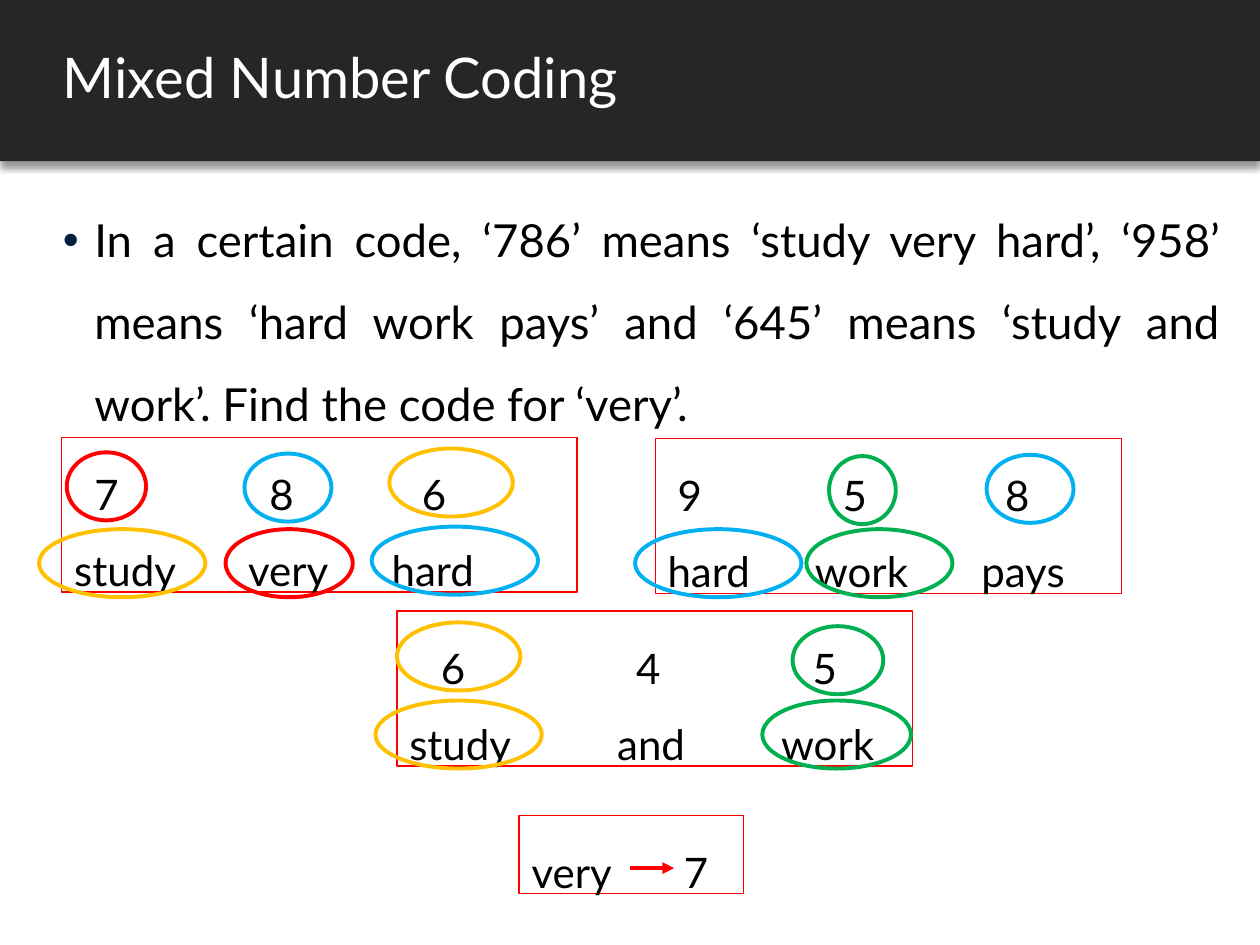
from lxml import etree
from pptx import Presentation
from pptx.dml.color import RGBColor
from pptx.enum.shapes import MSO_CONNECTOR, MSO_SHAPE
from pptx.enum.text import MSO_ANCHOR, MSO_AUTO_SIZE, PP_ALIGN
from pptx.oxml.ns import qn
from pptx.util import Inches, Pt

RECT, OVAL = MSO_SHAPE.RECTANGLE, MSO_SHAPE.OVAL
LINE = MSO_CONNECTOR.STRAIGHT
MIDDLE, GROW = MSO_ANCHOR.MIDDLE, MSO_AUTO_SIZE.SHAPE_TO_FIT_TEXT
LEFT, JUST = PP_ALIGN.LEFT, PP_ALIGN.JUSTIFY

# The grid has 100 columns and 75 rows of a tenth of an inch
COLS, ROWS, UNIT = 100, 75, 0.1
RING = 5.4
COLORS = {
    "dark": "262626", "white": "FFFFFF", "black": "000000", "navy": "00203F",
    "red": "FF0000", "blue": "00B0F0", "amber": "FFC000", "green": "00B050",
}
TITLE = {"size": 32, "color": "white", "align": LEFT, "line_spacing": 0.9,
         "space_after": Pt(6)}
BODY = {"size": 26, "color": "black", "align": JUST, "line_spacing": 1.5}
CODE = {**BODY, "size": 24}

# Each code: box, rows of (word, column), rings of (colour, column, row, width)
CODES = [
    ((4.9, 34.7, 40.9, 12.3),
     [[("7", 1.6), ("8", 15.5), ("6", 27.6)],
      [("study", 0), ("very", 13.8), ("hard", 25.2)]],
     [("red", 0.4, 1.2, 6.3), ("blue", 14.5, 1.3, 6.9), ("amber", 26, 0.9, 9.8),
      ("amber", -1.8, 7.3, 13.2), ("red", 13, 7.3, 10.1), ("blue", 24.6, 7.1, 13.2)]),
    ((52, 34.8, 37, 12.3),
     [[("9", 0.8), ("5", 13.9), ("8", 26.8)],
      [("hard", 0), ("work", 11.7), ("pays", 24.9)]],
     [("green", 13.8, 1.4, 5.3), ("blue", 26.3, 1.3, 6.9),
      ("blue", -1.6, 7.2, 13.2), ("green", 12, 7.2, 11.6)]),
    ((31.5, 48.5, 40.9, 12.3),
     [[("6", 2.5), ("4", 18), ("5", 32)],
      [("study", 0), ("and", 16.5), ("work", 29.5)]],
     [("amber", 0, 0.9, 9.8), ("green", 31.4, 1.2, 7.2),
      ("amber", -1.7, 7.1, 13.2), ("green", 29, 7.1, 11.8)]),
]


def grid(*nums):
    return [Inches(n * UNIT) for n in nums]


def color(name):
    return RGBColor.from_string(COLORS[name])


def node(parent, tag, **attrs):
    return etree.SubElement(parent, qn(tag), {k: str(v) for k, v in attrs.items()})


def style(para, form):
    for key, value in form.items():
        if key == "size":
            para.font.size = Pt(value)
        elif key == "color":
            para.font.color.rgb = color(value)
        elif key == "align":
            para.alignment = value
        else:
            setattr(para, key, value)
    para.font.name = "Lato"


def shape(slide, kind, box, line=None, width=None, fill=None):
    item = slide.shapes.add_shape(kind, *grid(*box))
    item.shadow.inherit = False
    if fill:
        item.fill.solid()
        item.fill.fore_color.rgb = color(fill)
    else:
        item.fill.background()
    if line:
        item.line.color.rgb = color(line)
        item.line.width = Pt(width)
    else:
        item.line.fill.background()
    return item


def text(slide, box):
    item = slide.shapes.add_textbox(*grid(*box))
    item.text_frame.word_wrap = True
    return item


def header(slide, box):
    x, y, w, h = box
    bar = shape(slide, RECT, box, fill="dark")
    # Soft shadow below the bar
    glow = node(bar._element.spPr.find(qn("a:effectLst")), "a:outerShdw",
                blurRad=Pt(4), dist=Pt(3), dir=90 * 60000, rotWithShape=0)
    tint = node(glow, "a:srgbClr", val=COLORS["black"])
    node(tint, "a:alpha", val=40000)
    # Title
    frame = text(slide, (x + 4, y, w - 4, h)).text_frame
    frame.vertical_anchor = MIDDLE
    para = frame.paragraphs[0]
    para.text = "Mixed Number Coding"
    style(para, TITLE)


def puzzle(slide, box):
    para = text(slide, box).text_frame.paragraphs[0]
    para.text = ("In a certain code, ‘786’ means ‘study very hard’, ‘958’ means "
                 "‘hard work pays’ and ‘645’ means ‘study and work’. "
                 "Find the code for ‘very’.")
    props = para._p.get_or_add_pPr()
    props.set("marL", str(Inches(0.25)))
    props.set("indent", str(-Inches(0.25)))
    node(node(props, "a:buClr"), "a:srgbClr", val=COLORS["navy"])
    node(props, "a:buFont", typeface="Arial")
    node(props, "a:buChar", char="•")
    style(para, BODY)


def panel(slide, box, rows):
    item = text(slide, box)
    item.line.color.rgb = color("red")
    item.line.width = Pt(0.75)
    frame = item.text_frame
    frame.auto_size = GROW
    for i, row in enumerate(rows):
        para = frame.add_paragraph() if i else frame.paragraphs[0]
        # A tab stop for each word that is set in from the left
        tabs = node(para._p.get_or_add_pPr(), "a:tabLst")
        for _, col in row:
            if col:
                node(tabs, "a:tab", pos=grid(col)[0], algn="l")
        para.add_run().text = "".join(("\t" if col else "") + word for word, col in row)
        style(para, CODE)


def code(slide, box, rows, rings):
    panel(slide, box, rows)
    x, y = box[:2]
    for hue, col, row, wide in rings:
        shape(slide, OVAL, (x + col, y + row, wide, RING), hue, 2.25)


def answer(slide, box):
    x, y = box[:2]
    panel(slide, box, [[("very", 0), ("7", 12.1)]])
    # Arrow from word to digit
    mid = y + 4.2
    arrow = slide.shapes.add_connector(LINE, *grid(x + 8.8, mid, x + 12.3, mid))
    arrow.line.color.rgb = color("red")
    arrow.line.width = Pt(2.25)
    node(arrow.line._get_or_add_ln(), "a:tailEnd", type="triangle")
    node(arrow._element.spPr, "a:effectLst")


def main():
    deck = Presentation()
    deck.slide_width, deck.slide_height = grid(COLS, ROWS)
    slide = deck.slides.add_slide(deck.slide_layouts[6])
    header(slide, (0, 0, COLS, 12.8))
    puzzle(slide, (4, 14.2, 93.9, 59.1))
    for box, rows, rings in CODES:
        code(slide, box, rows, rings)
    answer(slide, (41.2, 64.7, 17.8, 6.2))
    deck.save("out.pptx")


if __name__ == "__main__":
    main()
